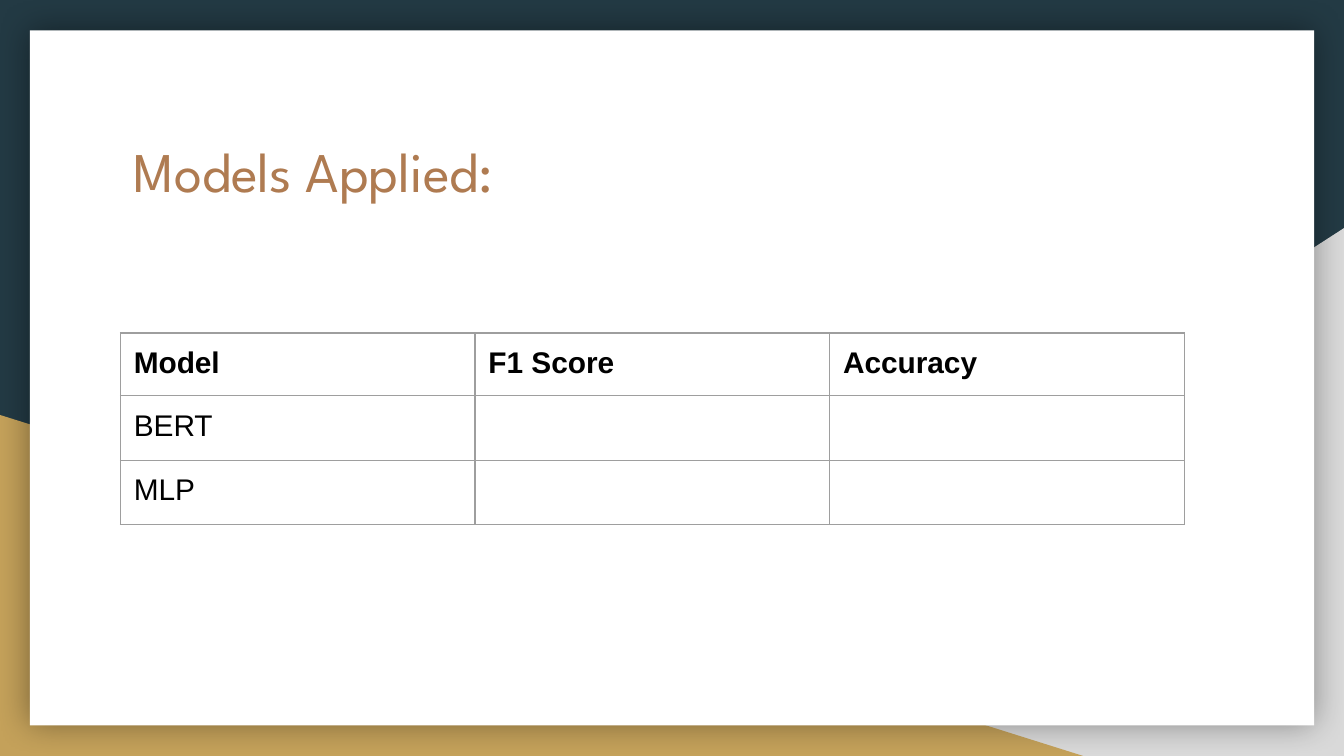
from lxml import etree
from pptx import Presentation
from pptx.dml.color import RGBColor
from pptx.enum.shapes import MSO_SHAPE
from pptx.enum.text import MSO_ANCHOR
from pptx.oxml.ns import qn
from pptx.util import Pt

RECT = MSO_SHAPE.RECTANGLE
WEDGE = MSO_SHAPE.RIGHT_TRIANGLE
TOP = MSO_ANCHOR.TOP
COLORS = {
    "navy": "233A44", "gray": "D9D9D9", "gold": "C4A15A", "white": "FFFFFF",
    "brown": "AF7B51", "black": "000000", "border": "9E9E9E",
}
INSET = 7.2
ROWS = [
    ["Model", "F1 Score ", "Accuracy"],
    ["BERT", "", ""],
    ["MLP", "", ""],
]
HEIGHTS = [32.1, 34.5, 34.5]


def color(name):
    """Return the named colour."""
    return RGBColor.from_string(COLORS[name])


def add_panel(slide, kind, box, fill):
    """Add a filled shape with neither line nor shadow."""
    shape = slide.shapes.add_shape(kind, *map(Pt, box))
    shape.shadow.inherit = False
    shape.fill.solid()
    shape.fill.fore_color.rgb = color(fill)
    shape.line.fill.background()
    return shape


def add_glow(shape, blur, alpha):
    """Give a shape a soft, centred black shadow."""
    effects = shape._element.spPr.find(qn("a:effectLst"))
    shadow = etree.SubElement(effects, qn("a:outerShdw"), blurRad=str(Pt(blur)),
                              dist="0", dir="0", algn="ctr", rotWithShape="0")
    tint = etree.SubElement(shadow, qn("a:srgbClr"), val=COLORS["black"])
    etree.SubElement(tint, qn("a:alpha"), val=str(alpha * 1000))


def set_insets(item):
    """Set equal margins on a text frame or cell."""
    item.margin_left = item.margin_right = Pt(INSET)
    item.margin_top = item.margin_bottom = Pt(INSET)


def add_run(frame, text, size, face, tint, bold=False):
    """Add one styled run to the first paragraph."""
    run = frame.paragraphs[0].add_run()
    run.text = text
    run.font.size = Pt(size)
    run.font.name = face
    run.font.bold = bold
    run.font.color.rgb = color(tint)


def add_title(slide, text, box):
    """Add the slide heading."""
    frame = slide.shapes.add_textbox(*map(Pt, box)).text_frame
    frame.word_wrap = True
    frame.vertical_anchor = TOP
    set_insets(frame)
    add_run(frame, text, 30, "League Spartan", "brown")


def add_border(cell, width):
    """Draw all four borders of a cell."""
    props = cell._tc.get_or_add_tcPr()
    for side in ("lnL", "lnR", "lnT", "lnB"):
        line = etree.SubElement(props, qn(f"a:{side}"), w=str(Pt(width)))
        fill = etree.SubElement(line, qn("a:solidFill"))
        etree.SubElement(fill, qn("a:srgbClr"), val=COLORS["border"])


def add_grid(slide, rows, left, top, width):
    """Add the score table with equal columns."""
    count = len(rows[0])
    frame = slide.shapes.add_table(len(rows), count, Pt(left), Pt(top),
                                   Pt(width), Pt(sum(HEIGHTS)))
    table = frame.table
    table.first_row = table.horz_banding = False
    for col in table.columns:
        col.width = Pt(width / count)
    for i, row in enumerate(rows):
        table.rows[i].height = Pt(HEIGHTS[i])
        for j, text in enumerate(row):
            cell = table.cell(i, j)
            add_border(cell, 0.75)
            cell.fill.background()
            if text:
                set_insets(cell)
                add_run(cell.text_frame, text, 16, "Arial", "black", i == 0)


def main():
    """Build and save the slide."""
    deck = Presentation()
    deck.slide_width, deck.slide_height = Pt(720), Pt(405)
    slide = deck.slides.add_slide(deck.slide_layouts[6])
    slide.background.fill.solid()
    slide.background.fill.fore_color.rgb = color("navy")

    wedge = add_panel(slide, WEDGE, (282.2, 122.2, 437.8, 282.8), "gray")
    wedge._element.spPr.xfrm.set("flipH", "1")
    add_panel(slide, WEDGE, (0, 222.3, 580.3, 182.7), "gold")
    card = add_panel(slide, RECT, (16, 16.2, 688, 372.4), "white")
    add_glow(card, 18, 40)

    add_title(slide, "Models Applied:", (64.5, 66.2, 591, 75))
    add_grid(slide, ROWS, 64.5, 178.4, 570)
    deck.save("out.pptx")


main()
